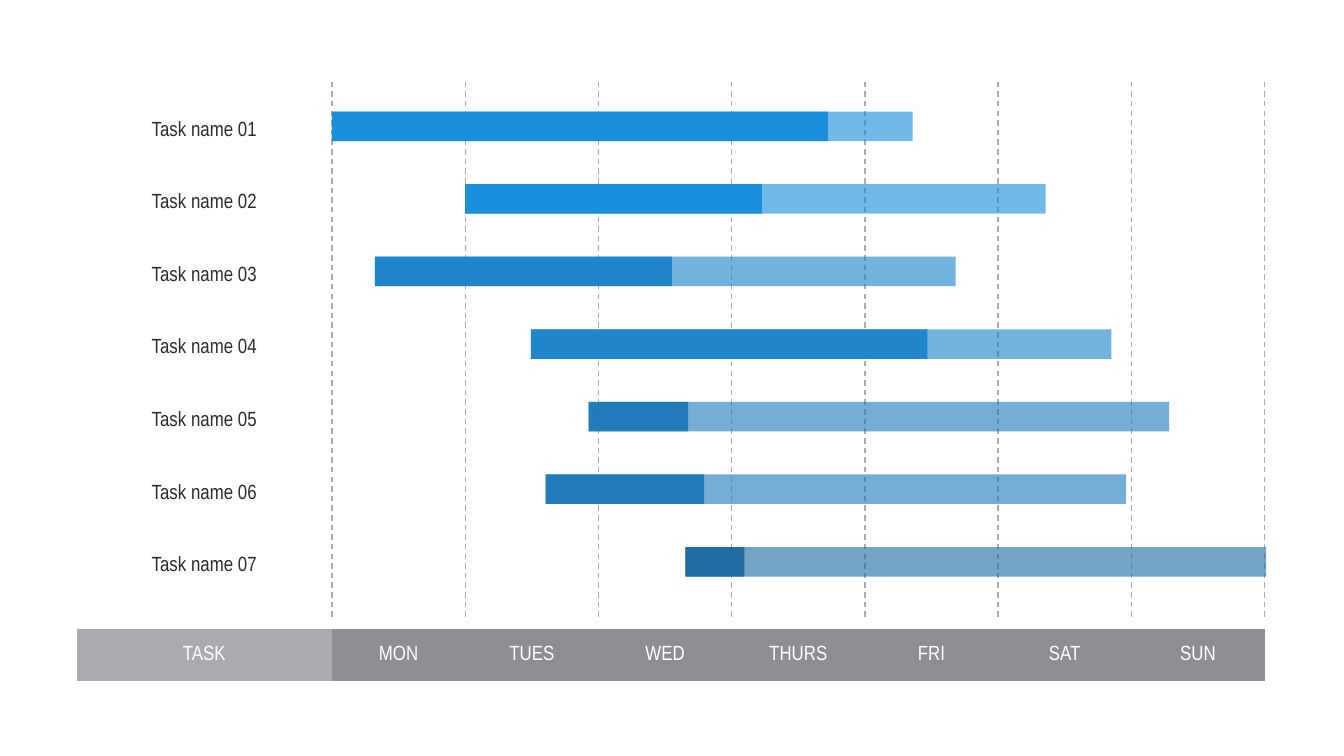
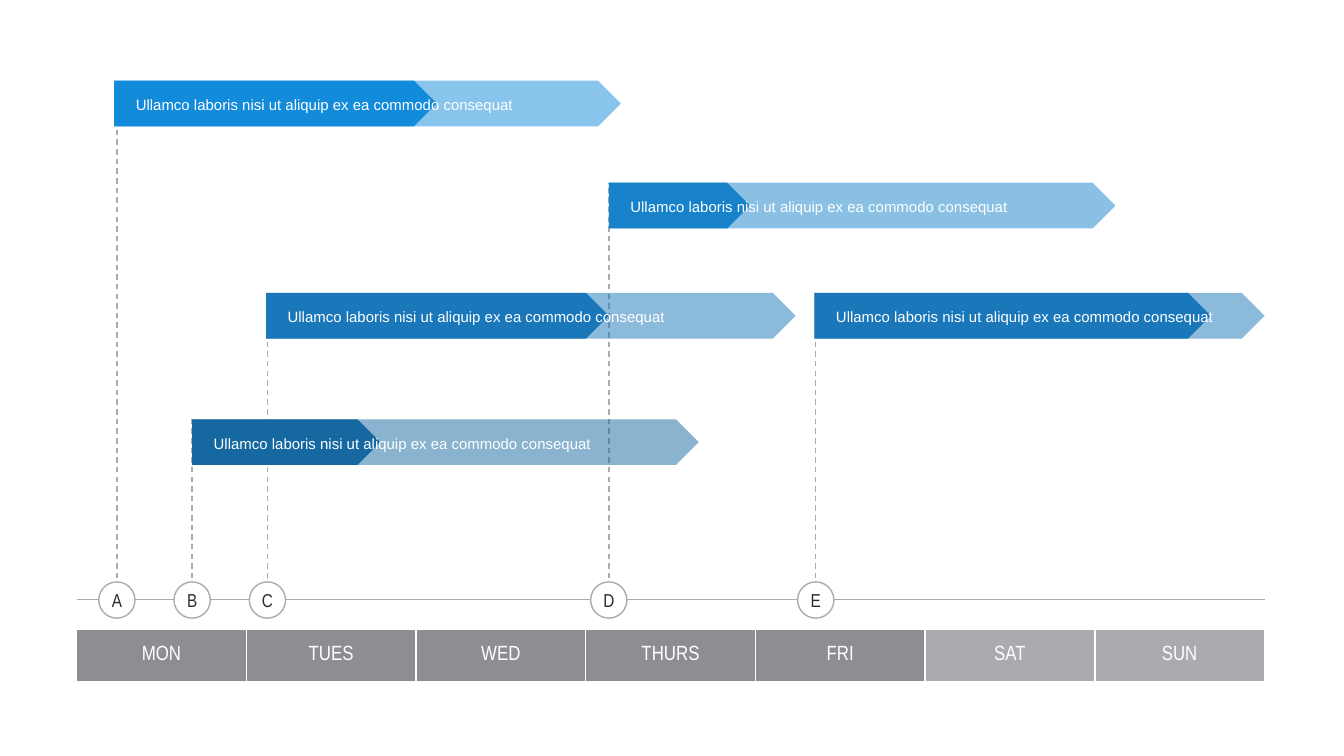
from collections import namedtuple

from lxml import etree
from pptx import Presentation
from pptx.dml.color import RGBColor
from pptx.enum.dml import MSO_LINE
from pptx.enum.shapes import MSO_CONNECTOR, MSO_SHAPE
from pptx.enum.text import MSO_ANCHOR, PP_ALIGN
from pptx.oxml.ns import qn
from pptx.util import Inches, Pt

RECTANGLE = MSO_SHAPE.RECTANGLE
PENTAGON = MSO_SHAPE.PENTAGON
OVAL = MSO_SHAPE.OVAL
STRAIGHT = MSO_CONNECTOR.STRAIGHT
DASH = MSO_LINE.DASH
MIDDLE = MSO_ANCHOR.MIDDLE
LEFT = PP_ALIGN.LEFT
CENTER = PP_ALIGN.CENTER

WHITE = RGBColor(0xFF, 0xFF, 0xFF)
INK = RGBColor(0x25, 0x2D, 0x30)
LIGHT_GRAY = RGBColor(0xAC, 0xA9, 0xAF)
DARK_GRAY = RGBColor(0x8C, 0x8E, 0x91)
BLUE_1 = RGBColor(0x13, 0x8B, 0xDB)
BLUE_2 = RGBColor(0x17, 0x82, 0xCA)
BLUE_3 = RGBColor(0x1A, 0x77, 0xB9)
BLUE_4 = RGBColor(0x16, 0x68, 0xA1)

NARROW = "Arial Narrow"
BODY = "Arial"

Box = namedtuple("Box", "left top width height")
Task = namedtuple("Task", "start done color")
Stage = namedtuple("Stage", "letter marker start top length done color")

SLIDE_WIDTH = 10
SLIDE_HEIGHT = SLIDE_WIDTH * 9 / 16
PLOT = Box(0.57, 0.6, 8.84, 3.99)
DAY_BAND = Box(0.57, 4.68, 8.84, 0.39)
WEEKDAYS = ["MON", "TUES", "WED", "THURS", "FRI"]
WEEKEND = ["SAT", "SUN"]
DAYS = WEEKDAYS + WEEKEND

TASK_COLUMN = 1.9
DAY_WIDTH = (PLOT.width - TASK_COLUMN) / len(DAYS)
TASK_LENGTH = 4.32
TASK_PITCH = 0.54

# Starts are measured from the first day line, lengths in inches.
TASKS = [
    Task(0, 3.69, BLUE_1),
    Task(0.99, 2.21, BLUE_1),
    Task(0.32, 2.21, BLUE_2),
    Task(1.48, 2.95, BLUE_2),
    Task(1.91, 0.74, BLUE_3),
    Task(1.59, 1.18, BLUE_3),
    Task(2.63, 0.44, BLUE_4),
]

# Markers, starts and tops are measured from the corner of the plot.
STAGES = [
    Stage("A", 0.3, 0.28, 0, 3.77, 2.4, BLUE_1),
    Stage("B", 0.86, 0.86, 2.52, 3.77, 1.4, BLUE_4),
    Stage("C", 1.42, 1.41, 1.58, 3.94, 2.55, BLUE_3),
    Stage("D", 3.96, 3.96, 0.76, 3.77, 1.05, BLUE_2),
    Stage("E", 5.5, 5.49, 1.58, 3.35, 2.95, BLUE_3),
]
STAGE_TEXT = "Ullamco laboris nisi ut aliquip ex ea commodo consequat"


def inches(box):
    return [Inches(length) for length in box]


def write(text_frame, text, size, font_name, color, alignment):
    text_frame.text = text
    paragraph = text_frame.paragraphs[0]
    paragraph.alignment = alignment
    font = paragraph.runs[0].font
    font.size = Pt(size)
    font.name = font_name
    font.color.rgb = color


def set_margins(holder, side):
    holder.margin_left = holder.margin_right = Inches(side)
    holder.margin_top = holder.margin_bottom = Inches(0.02)


def add_text(shapes, box, text, size, font_name=NARROW, color=INK,
             alignment=CENTER, side_margin=0.02):
    text_frame = shapes.add_textbox(*inches(box)).text_frame
    text_frame.word_wrap = True
    set_margins(text_frame, side_margin)
    write(text_frame, text, size, font_name, color, alignment)


def add_filled_shape(shapes, kind, box, color, opacity=100):
    """Add a preset shape without outline; opacity is a percentage."""
    shape = shapes.add_shape(kind, *inches(box))
    shape.shadow.inherit = False
    shape.line.fill.background()
    shape.fill.solid()
    shape.fill.fore_color.rgb = color
    if opacity < 100:
        color_element = shape._element.spPr.find(qn("a:solidFill"))[0]
        etree.SubElement(color_element, qn("a:alpha"), val=str(opacity * 1000))
    return shape


def add_line(shapes, x1, y1, x2, y2, dashed=False):
    line = shapes.add_connector(STRAIGHT, *inches((x1, y1, x2, y2)))
    line.line.color.rgb = LIGHT_GRAY
    line.line.width = Pt(0.75)
    if dashed:
        line.line.dash_style = DASH
    etree.SubElement(line._element.spPr, qn("a:effectLst"))


def add_progress_bar(shapes, kind, box, done, color, total_opacity, done_opacity):
    """Add a pale bar for the whole length and a stronger one for the done part."""
    group = shapes.add_group_shape()
    add_filled_shape(group.shapes, kind, box, color, total_opacity)
    add_filled_shape(group.shapes, kind, box._replace(width=done), color, done_opacity)
    return group


def set_cell_borders(cell, color):
    """Draw 1 pt borders in the colour, or none when it is None."""
    properties = cell._tc.get_or_add_tcPr()
    for position, side in enumerate(("a:lnL", "a:lnR", "a:lnT", "a:lnB")):
        border = etree.Element(qn(side), w=str(Pt(1)))
        if color is None:
            etree.SubElement(border, qn("a:noFill"))
        else:
            fill = etree.SubElement(border, qn("a:solidFill"))
            etree.SubElement(fill, qn("a:srgbClr"), val=str(color))
        properties.insert(position, border)


def add_day_band(slide, box, columns, border=None):
    """Add a one-row table; columns holds (label, width, fill) for each cell."""
    table = slide.shapes.add_table(1, len(columns), *inches(box)).table
    table.first_row = table.horz_banding = False
    table.rows[0].height = Inches(box.height)
    for index, (label, width, fill) in enumerate(columns):
        table.columns[index].width = Inches(width)
        cell = table.cell(0, index)
        cell.vertical_anchor = MIDDLE
        set_margins(cell, 0.04)
        cell.fill.solid()
        cell.fill.fore_color.rgb = fill
        write(cell.text_frame, label, 11, NARROW, WHITE, CENTER)
        set_cell_borders(cell, border)


def add_task_plot(slide, box):
    first_day = box.left + TASK_COLUMN
    for index in range(len(DAYS) + 1):
        x = first_day + index * DAY_WIDTH
        add_line(slide.shapes, x, box.top + box.height, x, box.top, dashed=True)
    for index, task in enumerate(TASKS):
        top = box.top + 0.23 + index * TASK_PITCH
        add_text(slide.shapes, Box(box.left, top + 0.01, TASK_COLUMN, 0.22),
                 f"Task name {index + 1:02d}", 11)
        bar = Box(first_day + task.start, top, TASK_LENGTH, 0.22)
        add_progress_bar(slide.shapes, RECTANGLE, bar, task.done, task.color, 60, 90)


def add_marker(slide, box, stage):
    diameter = 0.27
    x = box.left + stage.marker
    bottom = box.top + box.height
    add_line(slide.shapes, x, bottom, x, box.top + stage.top, dashed=True)
    circle_box = Box(x - diameter / 2, bottom - 0.26, diameter, diameter)
    circle = add_filled_shape(slide.shapes, OVAL, circle_box, WHITE)
    circle.line.color.rgb = LIGHT_GRAY
    circle.line.width = Pt(0.75)
    add_text(slide.shapes, Box(x - 0.13, bottom - 0.23, 0.26, 0.2), stage.letter, 10)


def add_stage_bar(slide, box, stage):
    bar = Box(box.left + stage.start, box.top + stage.top, stage.length, 0.34)
    group = add_progress_bar(slide.shapes, PENTAGON, bar, stage.done, stage.color, 50, 100)
    add_text(group.shapes, Box(bar.left + 0.12, bar.top + 0.09, 3.11, 0.18),
             STAGE_TEXT, 8, BODY, WHITE, LEFT, 0.04)


def add_stage_plot(slide, box):
    axis = box.top + box.height - 0.13
    add_line(slide.shapes, box.left, axis, box.left + box.width, axis)
    for stage in STAGES:
        add_marker(slide, box, stage)
    for stage in STAGES:
        add_stage_bar(slide, box, stage)


def build_task_slide(slide):
    columns = [("TASK", TASK_COLUMN, LIGHT_GRAY)]
    columns += [(day, DAY_WIDTH, DARK_GRAY) for day in DAYS]
    add_day_band(slide, DAY_BAND, columns)
    add_task_plot(slide, PLOT)


def build_stage_slide(slide):
    width = DAY_BAND.width / len(DAYS)
    columns = [(day, width, LIGHT_GRAY if day in WEEKEND else DARK_GRAY) for day in DAYS]
    add_day_band(slide, DAY_BAND, columns, WHITE)
    add_stage_plot(slide, PLOT)


def main():
    presentation = Presentation()
    presentation.slide_width = Inches(SLIDE_WIDTH)
    presentation.slide_height = Inches(SLIDE_HEIGHT)
    blank_layout = presentation.slide_layouts[6]
    for build in (build_task_slide, build_stage_slide):
        build(presentation.slides.add_slide(blank_layout))
    presentation.save("out.pptx")


if __name__ == "__main__":
    main()
